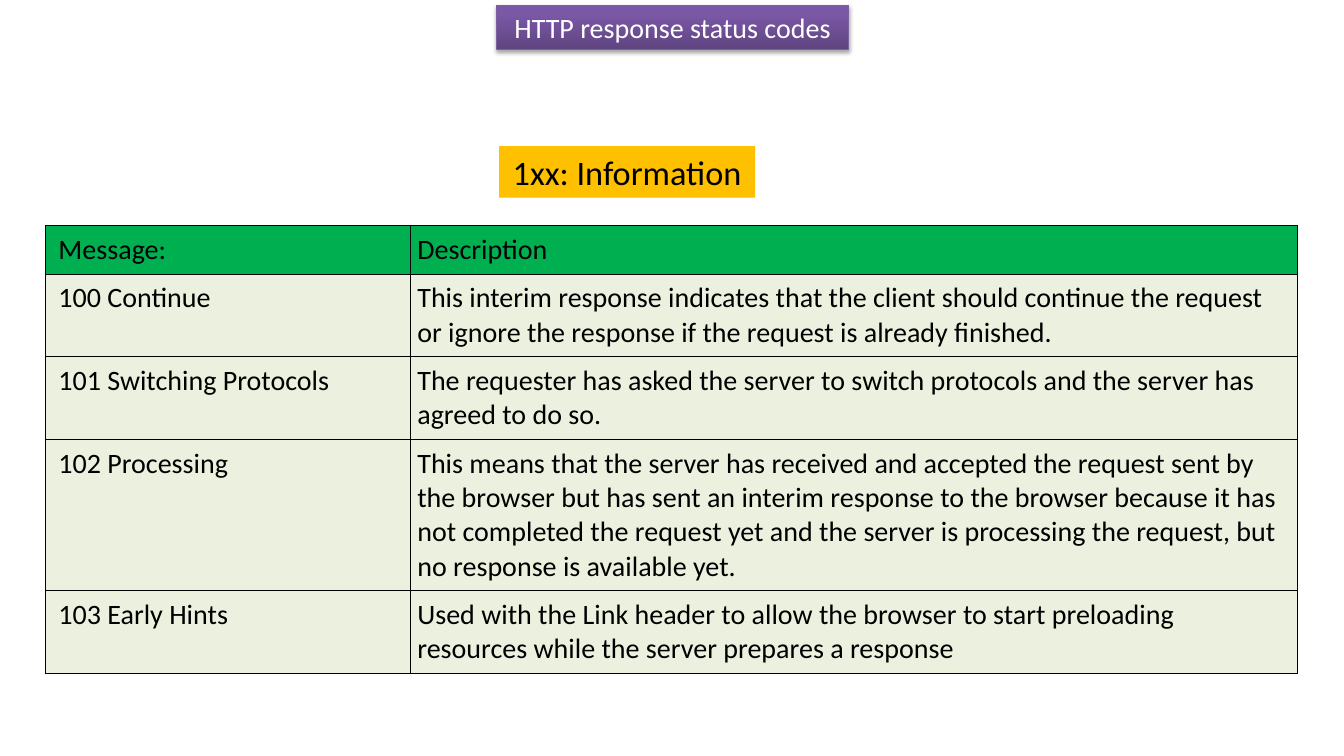
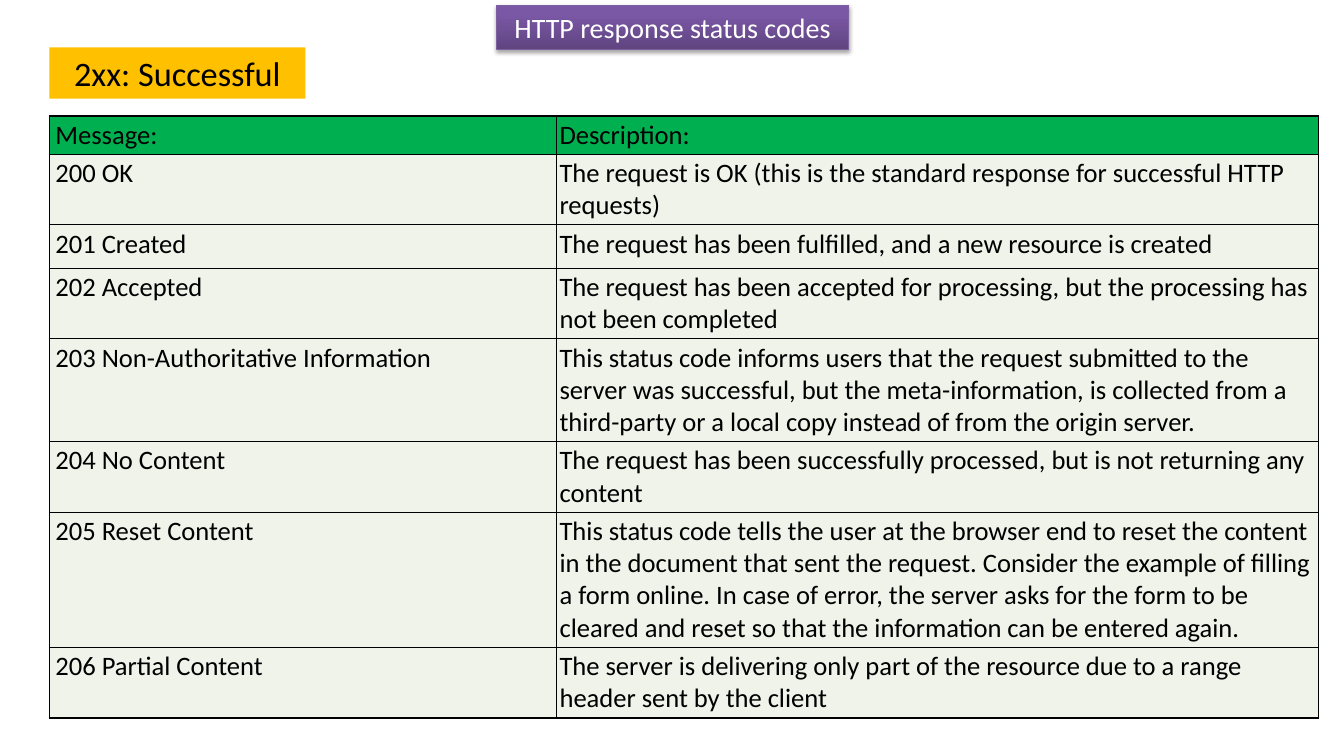
from lxml import etree
from pptx import Presentation
from pptx.dml.color import RGBColor
from pptx.enum.text import MSO_ANCHOR, MSO_AUTO_SIZE, PP_ALIGN
from pptx.oxml.ns import qn
from pptx.util import Inches, Pt

CENTER = PP_ALIGN.CENTER
MIDDLE = MSO_ANCHOR.MIDDLE
TOP = MSO_ANCHOR.TOP
NO_AUTOFIT = MSO_AUTO_SIZE.NONE
TITLE_ONLY = 5

FONT = "Calibri"
BLACK, WHITE = "000000", "FFFFFF"
AMBER, GREEN, PURPLE_EDGE = "FFC000", "00B050", "7D60A0"
PURPLE_STOPS = [(0, "5F4480"), (80, "7B58A6"), (100, "7C57A8")]
TITLE = "HTTP response status codes"
TITLE_BOX = (4.92, 0.05, 3.5, 0.44)
CLASS_SIZE = (2.54, 0.51)

INFORMATION = {
    "name": "1xx: Information",
    "name_at": (4.95, 1.45),
    "table_at": (0.45, 2.24),
    "columns": (3.62, 8.8),
    "heights": (0.47, 0.8, 0.8, 1.47, 0.8),
    "inset": 0.07,
    "label_inset": 0.13,
    "size": 20,
    "body_fill": "EBF1DE",
    "rows": [
        ("Message:", "Description"),
        ("100 Continue",
         "This interim response indicates that the client should continue the request "
         "or ignore the response if the request is already finished."),
        ("101 Switching Protocols",
         "The requester has asked the server to switch protocols and the server has "
         "agreed to do so."),
        ("102 Processing",
         "This means that the server has received and accepted the request sent by "
         "the browser but has sent an interim response to the browser because it has "
         "not completed the request yet and the server is processing the request, but "
         "no response is available yet."),
        ("103 Early Hints",
         "Used with the Link header to allow the browser to start preloading resources "
         "while the server prepares a response"),
    ],
}

SUCCESSFUL = {
    "name": "2xx: Successful",
    "name_at": (0.49, 0.47),
    "table_at": (0.49, 1.15),
    "columns": (5.03, 7.56),
    "heights": (0.38, 0.69, 0.43, 0.69, 1.01, 0.69, 1.32, 0.69),
    "inset": 0.03,
    "label_inset": 0.06,
    "size": 19,
    "body_fill": "EFF3EA",
    "rows": [
        ("Message:", "Description:"),
        ("200 OK",
         "The request is OK (this is the standard response for successful HTTP requests)"),
        ("201 Created", "The request has been fulfilled, and a new resource is created"),
        ("202 Accepted",
         "The request has been accepted for processing, but the processing has "
         "not been completed"),
        ("203 Non-Authoritative Information",
         "This status code informs users that the request submitted to the server was "
         "successful, but the meta-information, is collected from a third-party or a "
         "local copy instead of from the origin server."),
        ("204 No Content",
         "The request has been successfully processed, but is not returning any content"),
        ("205 Reset Content",
         "This status code tells the user at the browser end to reset the content in the "
         "document that sent the request. Consider the example of filling a form online. "
         "In case of error, the server asks for the form to be cleared and reset so that "
         "the information can be entered again."),
        ("206 Partial Content",
         "The server is delivering only part of the resource due to a range header sent "
         "by the client"),
    ],
}


def rgb(color):
    return RGBColor.from_string(color)


def paint(target, color):
    target.fill.solid()
    target.fill.fore_color.rgb = rgb(color)


def add_color(parent, color):
    return etree.SubElement(parent, qn("a:srgbClr"), val=color)


def write(frame, text, size, color=BLACK, align=None):
    frame.text = text
    paragraph = frame.paragraphs[0]
    paragraph.alignment = align
    font = paragraph.font
    font.name, font.size, font.bold = FONT, Pt(size), False
    font.color.rgb = rgb(color)


def write_centered(frame, text, size, color):
    frame.word_wrap = True
    frame.auto_size = NO_AUTOFIT
    frame.vertical_anchor = MIDDLE
    write(frame, text, size, color, CENTER)


def add_title(slide, box):
    title = slide.shapes.title
    title.left, title.top, title.width, title.height = map(Inches, box)
    title.fill.gradient()
    title.fill.gradient_angle = 90
    properties = title.element.spPr
    stops = properties.find(".//" + qn("a:gsLst"))
    for stop in list(stops):
        stops.remove(stop)
    for position, color in PURPLE_STOPS:
        add_color(etree.SubElement(stops, qn("a:gs"), pos=str(position * 1000)), color)
    title.line.color.rgb = rgb(PURPLE_EDGE)
    title.line.width = Pt(0.75)
    effects = etree.SubElement(properties, qn("a:effectLst"))
    shadow = etree.SubElement(
        effects, qn("a:outerShdw"), blurRad=str(Pt(3.1)), dist=str(Pt(1.8)),
        dir="5400000", rotWithShape="0")
    etree.SubElement(add_color(shadow, BLACK), qn("a:alpha"), val="35000")
    write_centered(title.text_frame, TITLE, 20, WHITE)


def add_class_name(slide, text, left, top):
    label = slide.shapes.add_textbox(*map(Inches, (left, top, *CLASS_SIZE)))
    paint(label, AMBER)
    write_centered(label.text_frame, text, 24.5, BLACK)


def add_borders(cell):
    properties = cell._tc.get_or_add_tcPr()
    for index, side in enumerate(("lnL", "lnR", "lnT", "lnB")):
        line = etree.Element(qn("a:" + side), w=str(Pt(1)))
        add_color(etree.SubElement(line, qn("a:solidFill")), BLACK)
        properties.insert(index, line)


def add_code_table(slide, group, left, top):
    rows, columns, heights = group["rows"], group["columns"], group["heights"]
    table = slide.shapes.add_table(
        len(rows), len(columns), Inches(left), Inches(top),
        Inches(sum(columns)), Inches(sum(heights))).table
    table.first_row = table.horz_banding = False
    for column, width in zip(table.columns, columns):
        column.width = Inches(width)
    inset = Inches(group["inset"])
    for r, (texts, height) in enumerate(zip(rows, heights)):
        table.rows[r].height = Inches(height)
        for c, text in enumerate(texts):
            cell = table.cell(r, c)
            cell.margin_left = Inches(group["label_inset"]) if c == 0 else inset
            cell.margin_top = cell.margin_right = cell.margin_bottom = inset
            cell.vertical_anchor = TOP
            paint(cell, GREEN if r == 0 else group["body_fill"])
            add_borders(cell)
            write(cell.text_frame, text, group["size"])


def add_status_slide(deck, group):
    slide = deck.slides.add_slide(deck.slide_layouts[TITLE_ONLY])
    add_title(slide, TITLE_BOX)
    add_class_name(slide, group["name"], *group["name_at"])
    add_code_table(slide, group, *group["table_at"])


def main():
    deck = Presentation()
    deck.slide_width, deck.slide_height = Inches(13.33), Inches(7.5)
    for group in (INFORMATION, SUCCESSFUL):
        add_status_slide(deck, group)
    deck.save("out.pptx")


if __name__ == "__main__":
    main()
